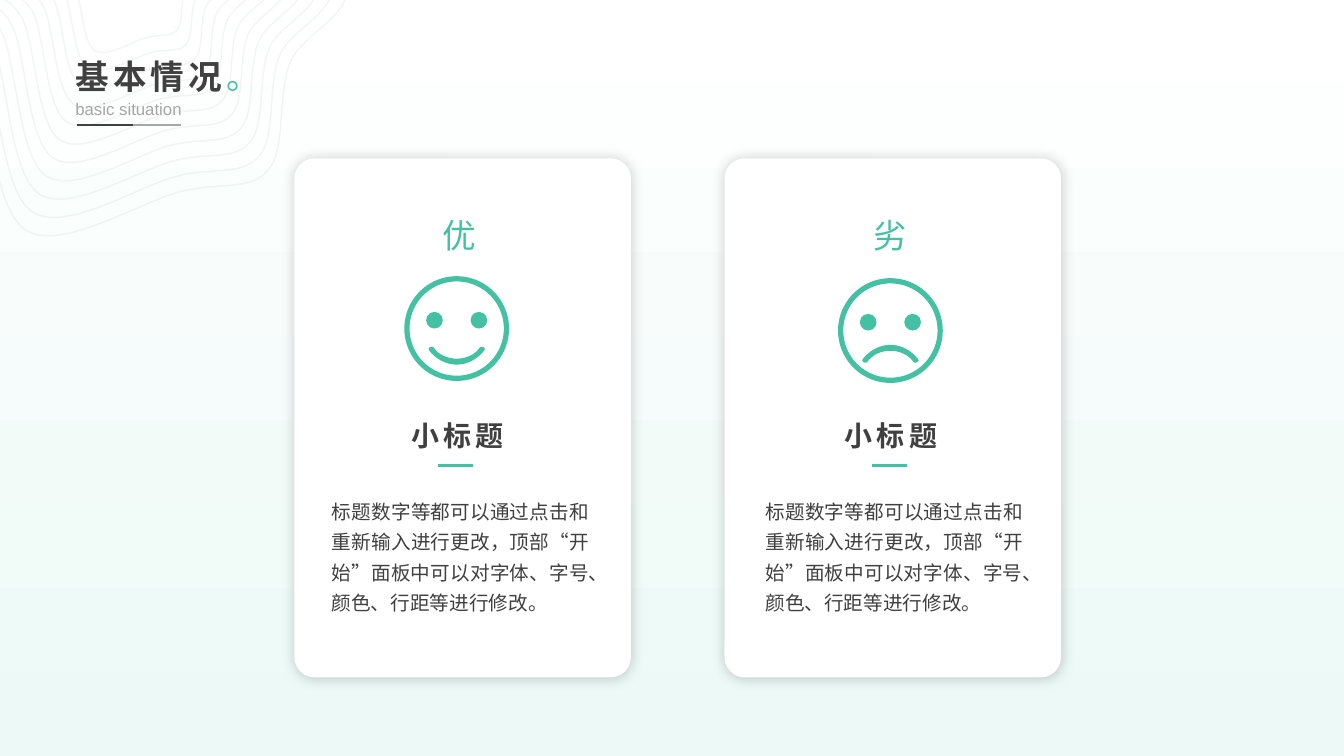
"""Build the basic-situation slide with a strengths card and a weaknesses card."""
import dataclasses
import typing

import lxml.etree
import pptx
import pptx.dml.color
import pptx.enum.shapes
import pptx.enum.text
import pptx.oxml
import pptx.oxml.ns
import pptx.util

Cm = pptx.util.Cm
Pt = pptx.util.Pt
Preset = pptx.enum.shapes.MSO_SHAPE
Align = pptx.enum.text.PP_ALIGN
Anchor = pptx.enum.text.MSO_ANCHOR
qn = pptx.oxml.ns.qn
Point = tuple[float, float]


@dataclasses.dataclass(frozen=True)
class Theme:
    accent: str = "44C1A3"
    ink: str = "404040"
    muted: str = "A6A6A6"
    contour: str = "1E5E70"
    white: str = "FFFFFF"
    mint: str = "ECF9F6"
    latin: str = "Arial"
    chinese: str = "Noto Sans CJK SC"
    title_size: int = 24
    label_size: int = 20
    body_size: int = 14
    subtitle_size: int = 12


THEME = Theme()


@dataclasses.dataclass(frozen=True)
class Span:
    text: str
    size: int
    color: str
    bold: bool = False
    spacing: int = 0
    font: str = THEME.latin


@dataclasses.dataclass(frozen=True)
class TextBox:
    left: float
    top: float
    width: float
    height: float
    spans: tuple[Span, ...]
    wrap: bool = False
    align: Align = Align.LEFT
    anchor: Anchor = Anchor.TOP
    line_spacing: float = 1.0


@dataclasses.dataclass(frozen=True)
class Card:
    left: float
    content_left: float
    badge_left: float
    badge: str
    face_y: float
    happy: bool


CARDS = (
    Card(7.42, 7.42, 10.9, "优", 8.28, True),
    Card(18.26, 18.35, 21.77, "劣", 8.33, False),
)
LABEL = "小标题"
BODY = "标题数字等都可以通过点击和重新输入进行更改，顶部“开始”面板中可以对字体、字号、颜色、行距等进行修改。"

CONTOUR: list[Point] = [
    (4.55, 4.83), (3.53, 5.08), (1.52, 6.38), (0.64, 5.79),
    (-0.23, 5.21), (-0.28, 2.31), (-0.74, 1.3),
    (-1.22, 0.28), (-2.08, 0.51), (-2.16, -0.36),
    (-2.26, -1.22), (-2.13, -3.05), (-1.27, -3.89),
    (-0.43, -4.75), (1.3, -5.99), (2.92, -5.49),
    (4.57, -4.98), (7.87, -2.08), (8.59, -0.89),
    (9.32, 0.3), (7.59, 0.76), (7.29, 1.63),
    (6.99, 2.49), (7.21, 3.78), (6.76, 4.29),
    (6.3, 4.83), (5.56, 4.57), (4.55, 4.83),
]
CONTOUR_CENTRE: Point = (3.28, -1.06)
CONTOUR_COUNT = 11

HALF_MOUTH: list[Point] = [
    (0, 0.76), (0.23, 0.76), (0.46, 0.66), (0.58, 0.48),
    (0.58, 0.46), (0.61, 0.46), (0.64, 0.46),
    (0.66, 0.46), (0.71, 0.48), (0.71, 0.51),
    (0.71, 0.53), (0.69, 0.56), (0.69, 0.56),
    (0.53, 0.76), (0.28, 0.91), (0, 0.91),
]
MOUTH = HALF_MOUTH + [(-x, y) for x, y in HALF_MOUTH[-2::-1]]


def rgb(color: str) -> pptx.dml.color.RGBColor:
    return pptx.dml.color.RGBColor.from_string(color)


def add_outline(page: typing.Any, points: list[Point]) -> typing.Any:
    """Draw a closed chain of cubic curves, three points to each curve."""
    corners = [(Cm(x), Cm(y)) for x, y in points]
    builder = page.shapes.build_freeform(*corners[0])
    builder.add_line_segments(corners[1:], close=True)
    shape = builder.convert_to_shape()
    shape.shadow.inherit = False
    steps = list(shape._element.iter(qn("a:lnTo")))
    for first in range(0, len(steps), 3):
        curve = lxml.etree.Element(qn("a:cubicBezTo"))
        steps[first].addprevious(curve)
        for step in steps[first:first + 3]:
            curve.append(step[0])
            step.getparent().remove(step)
    return shape


def paint(shape: typing.Any, color: str) -> None:
    shape.shadow.inherit = False
    shape.fill.solid()
    shape.fill.fore_color.rgb = rgb(color)
    shape.line.fill.background()


def add_preset(page: typing.Any, preset: Preset, left: float, top: float,
               width: float, height: float, color: str) -> typing.Any:
    shape = page.shapes.add_shape(preset, Cm(left), Cm(top), Cm(width), Cm(height))
    paint(shape, color)
    return shape


def add_rule(page: typing.Any, left: float, right: float, y: float,
             color: str, width: float) -> None:
    rule = page.shapes.add_connector(
        pptx.enum.shapes.MSO_CONNECTOR.STRAIGHT, Cm(left), Cm(y), Cm(right), Cm(y))
    rule.line.color.rgb = rgb(color)
    rule.line.width = Pt(width)
    lxml.etree.SubElement(rule._element.spPr, qn("a:effectLst"))


def add_text(page: typing.Any, item: TextBox) -> None:
    box = page.shapes.add_textbox(
        Cm(item.left), Cm(item.top), Cm(item.width), Cm(item.height))
    frame = box.text_frame
    frame.word_wrap = item.wrap
    frame.auto_size = pptx.enum.text.MSO_AUTO_SIZE.SHAPE_TO_FIT_TEXT
    frame.vertical_anchor = item.anchor
    para = frame.paragraphs[0]
    para.alignment = item.align
    para.line_spacing = item.line_spacing
    for span in item.spans:
        run = para.add_run()
        run.text = span.text
        run.font.name = span.font
        run.font.size = Pt(span.size)
        run.font.bold = span.bold
        run.font.color.rgb = rgb(span.color)
        properties = run._r.get_or_add_rPr()
        properties.set("spc", str(span.spacing * 100))
        east_asian = lxml.etree.Element(qn("a:ea"), typeface=THEME.chinese)
        properties.find(qn("a:latin")).addnext(east_asian)


def add_contours(page: typing.Any) -> None:
    centre_x, centre_y = CONTOUR_CENTRE
    for index in range(CONTOUR_COUNT):
        scale = 1 - 0.66 * index / (CONTOUR_COUNT - 1)
        ring = add_outline(page, [(centre_x + scale * (x - centre_x),
                                   centre_y + scale * (y - centre_y)) for x, y in CONTOUR])
        ring.fill.background()
        ring.line.color.rgb = rgb(THEME.contour)
        ring.line.width = Pt(1)
        color = ring._element.spPr.find(qn("a:ln")).find(".//" + qn("a:srgbClr"))
        lxml.etree.SubElement(color, qn("a:alpha"), val="5000")


def add_panel(page: typing.Any, card: Card) -> None:
    panel = add_preset(page, Preset.ROUNDED_RECTANGLE, card.left, 3.99, 8.48, 13.08, THEME.white)
    panel.adjustments[0] = 0.06
    effects = panel._element.spPr.find(qn("a:effectLst"))
    shadow = lxml.etree.SubElement(effects, qn("a:outerShdw"), blurRad=str(int(Pt(10))),
                                   dist="0", dir="0", algn="ctr", rotWithShape="0")
    color = lxml.etree.SubElement(shadow, qn("a:srgbClr"), val="000000")
    lxml.etree.SubElement(color, qn("a:alpha"), val="20000")


def add_face(page: typing.Any, x: float, y: float, happy: bool) -> None:
    for side in (-1, 1):
        add_preset(page, Preset.OVAL, x + side * 0.56 - 0.21, y - 0.42, 0.42, 0.42, THEME.accent)
    mouth = [(x + dx, y + (dy if happy else 1.27 - dy)) for dx, dy in MOUTH]
    paint(add_outline(page, mouth), THEME.accent)
    head = add_preset(page, Preset.DONUT, x - 1.32, y - 1.32, 2.64, 2.64, THEME.accent)
    head.adjustments[0] = 0.05


def add_content(page: typing.Any, card: Card) -> None:
    left = card.content_left
    add_text(page, TextBox(card.badge_left, 5.28, 1.37, 1.27,
                           (Span(card.badge, THEME.title_size, THEME.accent),)))
    add_face(page, left + 4.09, card.face_y, card.happy)
    add_text(page, TextBox(left + 2.57, 10.41, 3.07, 1.12,
                           (Span(LABEL, THEME.label_size, THEME.ink, True, 3),),
                           wrap=True, align=Align.CENTER))
    add_text(page, TextBox(left + 0.69, 12.29, 6.99, 3.3,
                           (Span(BODY, THEME.body_size, THEME.ink),),
                           wrap=True, align=Align.JUSTIFY, line_spacing=1.3))
    add_rule(page, left + 3.63, left + 4.5, 11.73, THEME.accent, 2)


def add_heading(page: typing.Any) -> None:
    add_rule(page, 1.93, 4.57, 3.15, THEME.muted, 1)
    add_rule(page, 1.93, 3.35, 3.15, THEME.ink, 1)
    title = (Span("基本情况", THEME.title_size, THEME.ink, True, 3, THEME.chinese),
             Span("。", THEME.title_size, THEME.accent, False, 3, THEME.chinese))
    add_text(page, TextBox(1.65, 1.4, 4.37, 1.17, title,
                           anchor=Anchor.MIDDLE, line_spacing=0.9))
    add_text(page, TextBox(1.65, 2.36, 3.2, 0.76,
                           (Span("basic situation", THEME.subtitle_size, THEME.muted),)))


def main() -> None:
    deck = pptx.Presentation()
    deck.slide_width, deck.slide_height = Cm(33.87), Cm(19.05)
    page = deck.slides.add_slide(deck.slide_layouts[6])
    backdrop = page.background.fill
    backdrop.gradient()
    backdrop.gradient_angle = 270
    for stop, color in zip(backdrop.gradient_stops, (THEME.white, THEME.mint)):
        stop.color.rgb = rgb(color)
    add_contours(page)
    add_heading(page)
    for card in CARDS:
        add_panel(page, card)
        add_content(page, card)
    deck.save("out.pptx")


if __name__ == "__main__":
    main()
